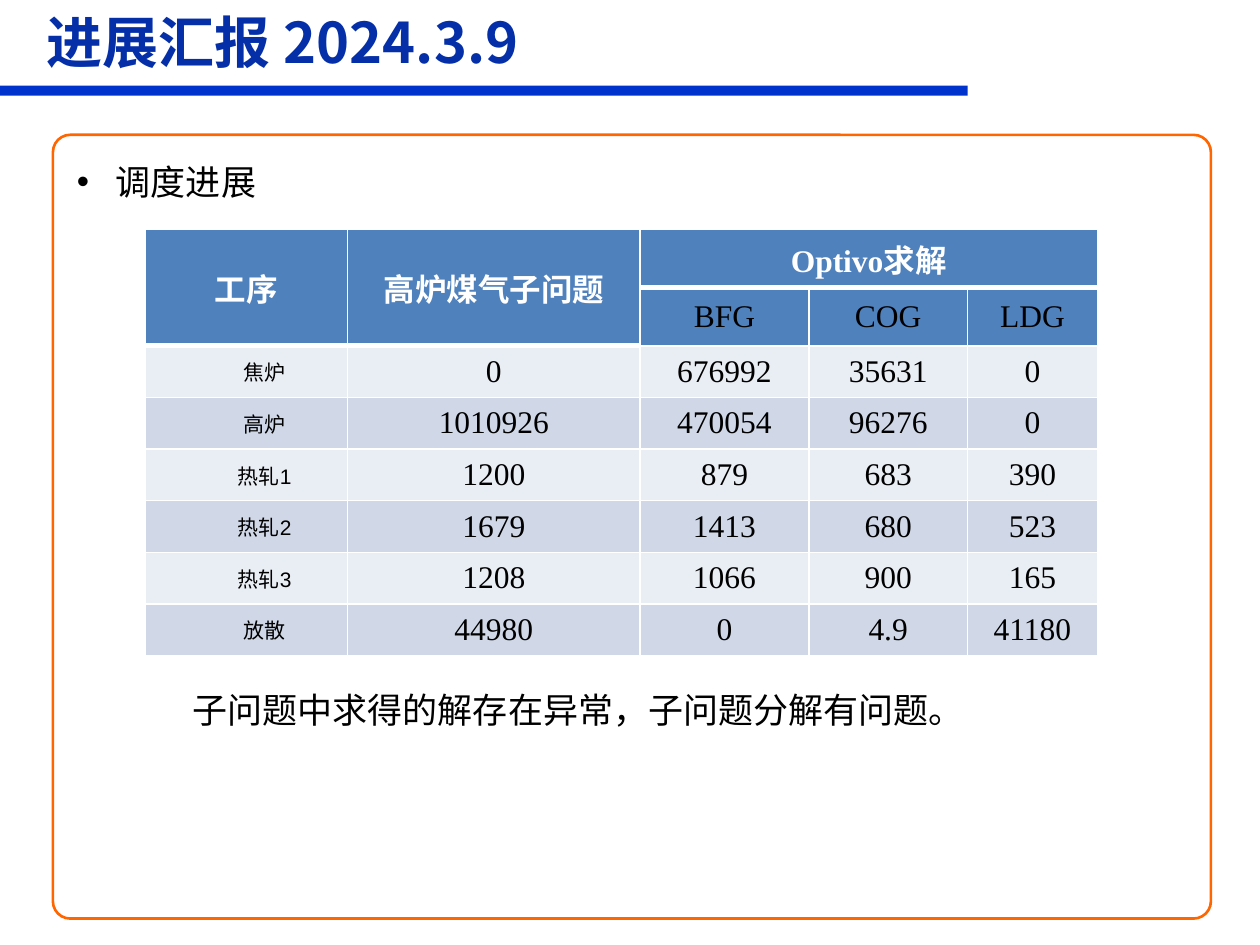
from lxml import etree
from pptx import Presentation
from pptx.dml.color import RGBColor
from pptx.enum.shapes import MSO_SHAPE
from pptx.enum.text import MSO_ANCHOR, MSO_AUTO_SIZE, PP_ALIGN
from pptx.oxml.ns import qn
from pptx.util import Inches, Pt

RECTANGLE, ROUNDED = MSO_SHAPE.RECTANGLE, MSO_SHAPE.ROUNDED_RECTANGLE
TOP, MIDDLE = MSO_ANCHOR.TOP, MSO_ANCHOR.MIDDLE
LEFT, CENTER, JUSTIFY = PP_ALIGN.LEFT, PP_ALIGN.CENTER, PP_ALIGN.JUSTIFY
FIXED = MSO_AUTO_SIZE.NONE

TITLE = "进展汇报 2024.3.9"
BULLET = "调度进展"
CONCLUSION = "子问题中求得的解存在异常，子问题分解有问题。"
HEADERS = [
    ["工序", "高炉煤气子问题", "Optivo求解", "", ""],
    ["", "", "BFG", "COG", "LDG"],
]
RESULTS = [
    ["焦炉", "0", "676992", "35631", "0"],
    ["高炉", "1010926", "470054", "96276", "0"],
    ["热轧1", "1200", "879", "683", "390"],
    ["热轧2", "1679", "1413", "680", "523"],
    ["热轧3", "1208", "1066", "900", "165"],
    ["放散", "44980", "0", "4.9", "41180"],
]
MERGES = [((0, 0), (1, 0)), ((0, 1), (1, 1)), ((0, 2), (0, 4))]
COLUMN_WIDTHS = [1.61, 2.32, 1.34, 1.26, 1.03]
HEADER_HEIGHT, RESULT_HEIGHT = 0.4, 0.41

CJK, SANS, SERIF = "Noto Sans CJK SC", "Arial", "Times New Roman"
THEME = {
    "bar": "0033CC", "frame": "FF6600", "border": "FFFFFF",
    "header": "4F81BD", "bands": ["E9EDF4", "D0D8E8"],
    "title": {"name": CJK, "size": 32, "color": "042FA8", "bold": True},
    "body": {"name": SERIF, "size": 20, "color": "000000", "bold": False},
    "group": {"name": SERIF, "size": 18, "color": "FFFFFF", "bold": True},
    "process_header": {"name": SANS, "size": 18, "color": "FFFFFF", "bold": True},
    "process": {"name": SANS, "size": 12, "color": "000000", "bold": False},
    "value": {"name": SERIF, "size": 18, "color": "000000", "bold": False},
}


def lengths(*values):
    return [Inches(value) for value in values]


def place(box, left, top, width, height):
    box.left, box.top, box.width, box.height = lengths(left, top, width, height)


def write(frame, text, style, align=LEFT, spacing=1.0, margin=0, indent=0):
    """Fill the frame's first paragraph; margin and indent are in inches."""
    para = frame.paragraphs[0]
    para.alignment, para.line_spacing = align, spacing
    para.space_before = Pt(0)
    props = para._p.get_or_add_pPr()
    props.set("marL", str(Inches(margin)))
    props.set("indent", str(Inches(indent)))
    span = para.add_run()
    span.text = text
    look = dict(THEME[style])
    span.font.color.rgb = RGBColor.from_string(look.pop("color"))
    look["size"] = Pt(look["size"])
    for name, value in look.items():
        setattr(span.font, name, value)
    etree.SubElement(span._r.get_or_add_rPr(), qn("a:ea"), typeface=CJK)


def set_borders(cell, bottom):
    props = cell._tc.get_or_add_tcPr()
    for side, points in {"L": 1, "R": 1, "T": 1, "B": bottom}.items():
        line = etree.SubElement(props, qn(f"a:ln{side}"), w=str(Pt(points)))
        fill = etree.SubElement(line, qn("a:solidFill"))
        etree.SubElement(fill, qn("a:srgbClr"), val=THEME["border"])


def cell_style(row, column):
    if row == 0:
        return "group" if column else "process_header"
    return "value" if column or row < len(HEADERS) else "process"


def add_results(page):
    rows = HEADERS + RESULTS
    heights = [HEADER_HEIGHT] * len(HEADERS) + [RESULT_HEIGHT] * len(RESULTS)
    table = page.shapes.add_table(
        len(rows), len(COLUMN_WIDTHS),
        *lengths(1.15, 1.82, sum(COLUMN_WIDTHS), sum(heights))).table
    for column, width in zip(table.columns, COLUMN_WIDTHS):
        column.width = Inches(width)
    for row, height in zip(table.rows, heights):
        row.height = Inches(height)
    for start, end in MERGES:
        table.cell(*start).merge(table.cell(*end))
    for r, texts in enumerate(rows):
        header = r < len(HEADERS)
        color = THEME["header"] if header else THEME["bands"][r % 2]
        for c, text in enumerate(texts):
            cell = table.cell(r, c)
            set_borders(cell, bottom=1 if r else 3)
            cell.fill.solid()
            cell.fill.fore_color.rgb = RGBColor.from_string(color)
            cell.vertical_anchor = MIDDLE
            process = c == 0 and not header
            if process:
                cell.margin_left = cell.margin_right = Inches(0.07)
                cell.margin_top = cell.margin_bottom = 0
            if text:
                write(cell.text_frame, text, cell_style(r, c), CENTER,
                      indent=0.29 if process else 0)


def add_decor(page):
    bar = page.shapes.add_shape(RECTANGLE, *lengths(0, 0.68, 7.68, 0.08))
    bar.fill.solid()
    bar.fill.fore_color.rgb = RGBColor.from_string(THEME["bar"])
    bar.line.fill.background()
    frame = page.shapes.add_shape(ROUNDED, *lengths(0.42, 1.07, 9.19, 6.22))
    frame.adjustments[0] = 0.022
    frame.fill.background()
    frame.line.color.rgb = RGBColor.from_string(THEME["frame"])
    frame.line.width = Pt(1.5)
    for shape in (bar, frame):
        shape.shadow.inherit = False


def main():
    deck = Presentation()
    deck.slide_width, deck.slide_height = lengths(10, 7.5)
    page = deck.slides.add_slide(deck.slide_layouts[1])
    add_decor(page)

    title, body = page.placeholders
    place(title, 0.27, -0.11, 9.15, 0.87)
    place(body, 0.51, 1.12, 6.51, 0.5)
    conclusion = page.shapes.add_textbox(*lengths(0.93, 5.25, 8.13, 0.55))
    for box, anchor in ((title, MIDDLE), (body, TOP), (conclusion, TOP)):
        settings = {"word_wrap": True, "auto_size": FIXED, "vertical_anchor": anchor}
        for name, value in settings.items():
            setattr(box.text_frame, name, value)

    write(title.text_frame, TITLE, "title")
    write(body.text_frame, BULLET, "body", JUSTIFY, 1.3, 0.31, -0.31)
    add_results(page)
    write(conclusion.text_frame, CONCLUSION, "body", spacing=1.5, indent=0.5)
    deck.save("out.pptx")


if __name__ == "__main__":
    main()
